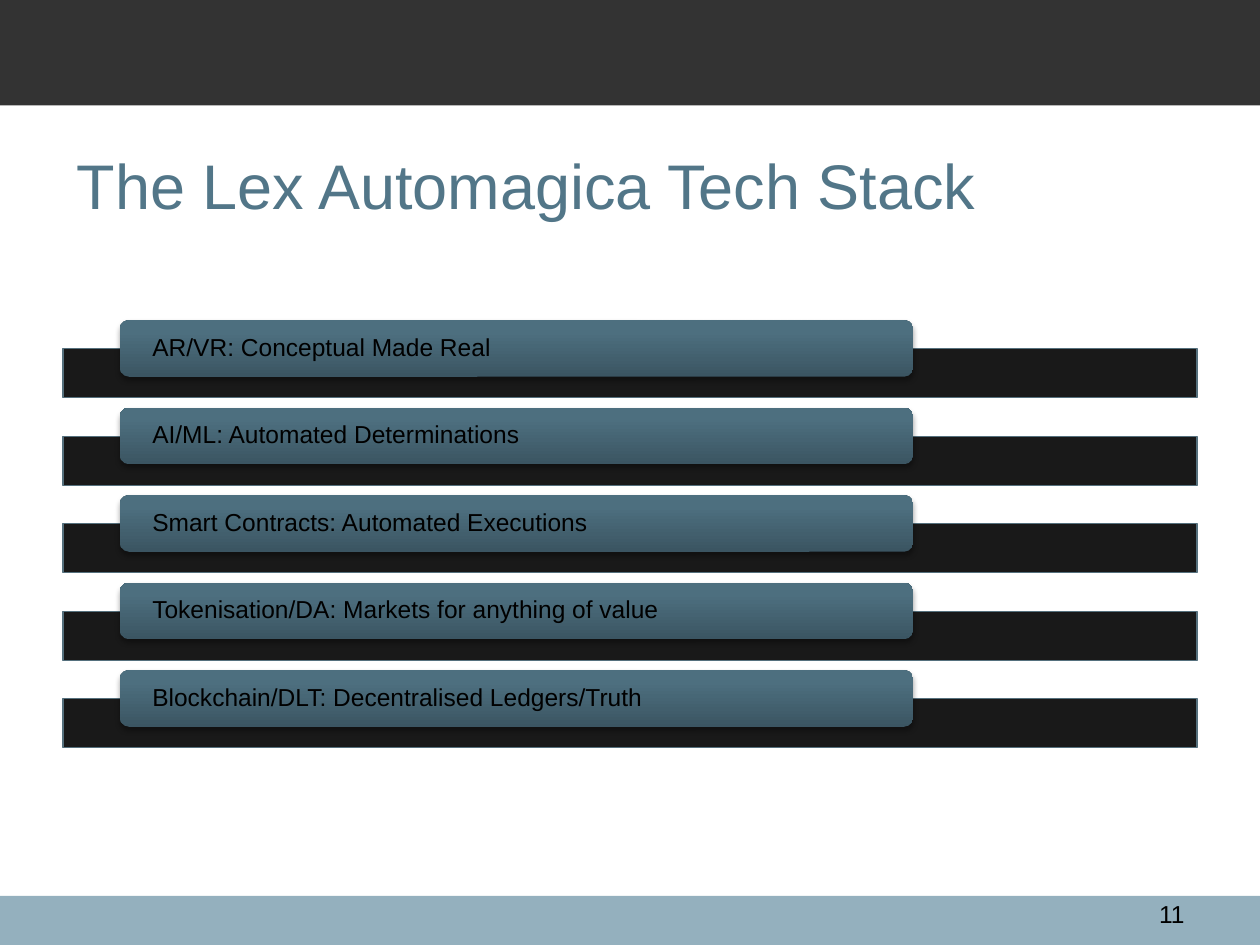
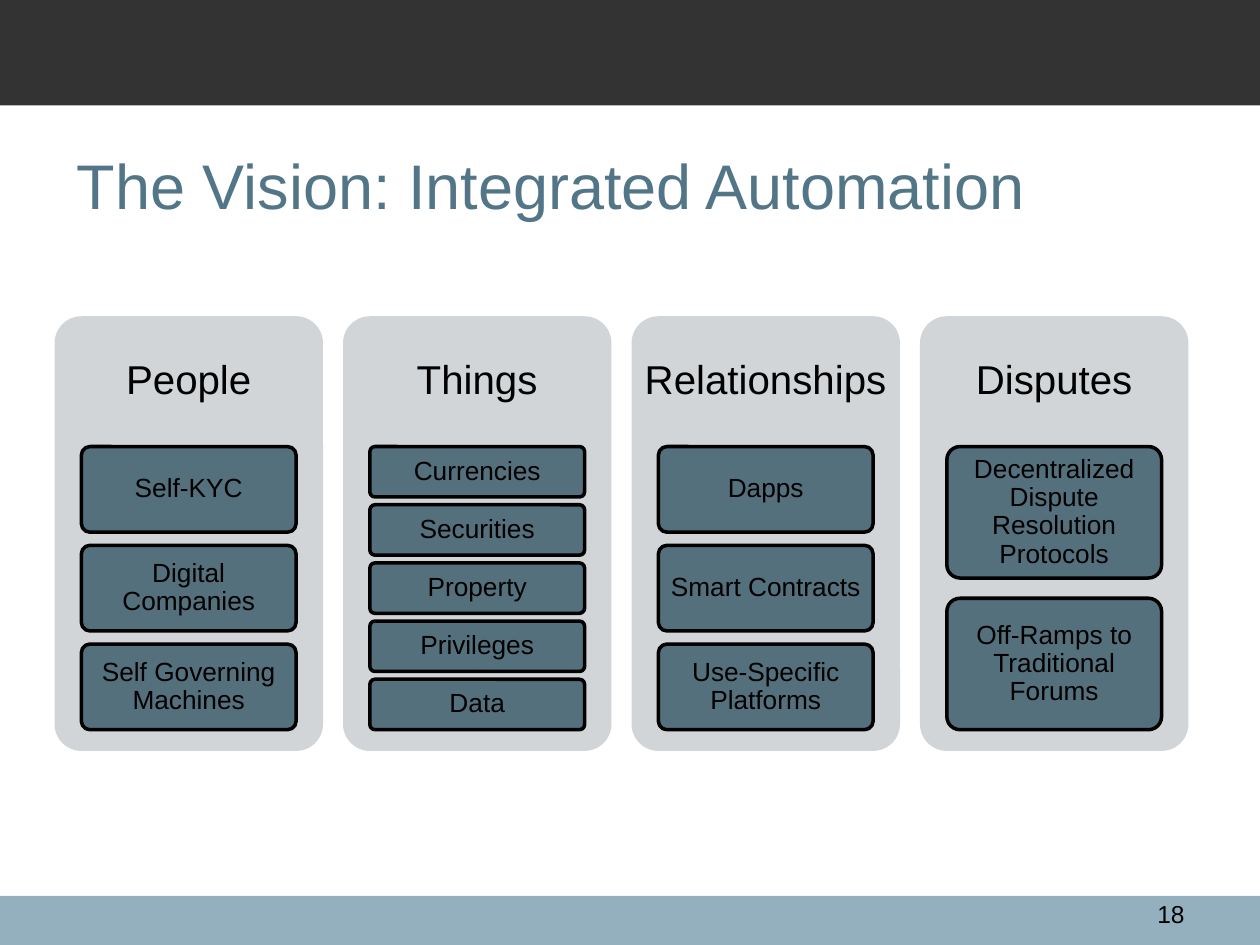
import lxml.etree
import pptx
import pptx.dml.color
import pptx.enum.shapes
import pptx.enum.text
import pptx.oxml.ns
import pptx.util

Pt = pptx.util.Pt
SHAPES = pptx.enum.shapes.MSO_SHAPE
ALIGN = pptx.enum.text.PP_ALIGN
ANCHOR = pptx.enum.text.MSO_ANCHOR
qn = pptx.oxml.ns.qn

FONT = "Arial"
WIDTH, HEIGHT = 720, 540
COLOURS = {
    "header": "333333",
    "footer": "94B0BE",
    "title": "527688",
    "text": "000000",
    "slate": "55707D",
    "panel": "D1D5D7",
    "layer_dark": "3B5562",
    "layer_light": "4D6F7F",
}

TECH_LAYERS = [
    "AR/VR: Conceptual Made Real",
    "AI/ML: Automated Determinations",
    "Smart Contracts: Automated Executions",
    "Tokenisation/DA: Markets for anything of value",
    "Blockchain/DLT: Decentralised Ledgers/Truth",
]
VISION = {
    "People": ["Self-KYC", "Digital Companies", "Self Governing Machines"],
    "Things": ["Currencies", "Securities", "Property", "Privileges", "Data"],
    "Relationships": ["Dapps", "Smart Contracts", "Use-Specific Platforms"],
    "Disputes": [
        "Decentralized Dispute Resolution Protocols",
        "Off-Ramps to Traditional Forums",
    ],
}


def rgb(name):
    return pptx.dml.color.RGBColor.from_string(COLOURS[name])


def write(shape, text, size=14, colour="text", align=ALIGN.LEFT,
          anchor=ANCHOR.MIDDLE, inset=(7.2, 3.6), spacing=1.0):
    frame = shape.text_frame
    frame.word_wrap = True
    frame.vertical_anchor = anchor
    frame.margin_left = frame.margin_right = Pt(inset[0])
    frame.margin_top = frame.margin_bottom = Pt(inset[1])
    para = frame.paragraphs[0]
    para.alignment = align
    para.line_spacing = spacing
    span = para.add_run()
    span.text = text
    span.font.name = FONT
    span.font.size = Pt(size)
    span.font.color.rgb = rgb(colour)


def add_text(page, text, left, top, width, height, **style):
    box = page.shapes.add_textbox(Pt(left), Pt(top), Pt(width), Pt(height))
    write(box, text, **style)


def add_block(page, left, top, width, height, fill, kind=SHAPES.RECTANGLE,
              corner=None, line=None, line_width=0.75):
    block = page.shapes.add_shape(kind, Pt(left), Pt(top), Pt(width), Pt(height))
    block.shadow.inherit = False
    block.fill.solid()
    block.fill.fore_color.rgb = rgb(fill)
    if corner is not None:
        block.adjustments[0] = corner
    if line:
        block.line.color.rgb = rgb(line)
        block.line.width = Pt(line_width)
    else:
        block.line.fill.background()
    return block


def set_opacity(parent, percent):
    colour = parent.find(".//" + qn("a:srgbClr"))
    lxml.etree.SubElement(colour, qn("a:alpha"), val=str(percent * 1000))


def add_drop_shadow(shape, blur, distance, percent):
    effects = shape.element.spPr.find(qn("a:effectLst"))
    shadow = lxml.etree.SubElement(
        effects, qn("a:outerShdw"), blurRad=str(Pt(blur)),
        dist=str(Pt(distance)), dir="5400000", rotWithShape="0")
    lxml.etree.SubElement(shadow, qn("a:srgbClr"), val=COLOURS["text"])
    set_opacity(shadow, percent)


def add_layer_gradient(shape):
    shape.fill.gradient()
    shape.fill.gradient_angle = 90
    stops = shape.fill.gradient_stops
    for stop, colour, position in zip(stops, ("layer_dark", "layer_light"), (0, 0.8)):
        stop.color.rgb = rgb(colour)
        stop.position = position


def add_page(deck, title, number):
    page = deck.slides.add_slide(deck.slide_layouts[5])
    add_block(page, 0, 512, WIDTH, HEIGHT - 512, "footer")
    add_block(page, 0, 0, WIDTH, 60.3, "header")
    heading = page.shapes.title
    heading.left, heading.top = Pt(36.7), Pt(60.5)
    heading.width, heading.height = Pt(648), Pt(90)
    write(heading, title, size=36, colour="title")
    add_text(page, str(number), 638, 510, 46, 17.3,
             align=ALIGN.RIGHT, anchor=ANCHOR.TOP)
    return page


def add_layer(page, text, top):
    bar = add_block(page, 36, top + 16.4, 648, 28, "text", line="slate")
    set_opacity(bar.element.spPr, 90)
    label = add_block(page, 68.4, top, 453.6, 32.4, "layer_light",
                      kind=SHAPES.ROUNDED_RECTANGLE)
    add_layer_gradient(label)
    add_drop_shadow(label, 3.1, 1.8, 35)
    write(label, text, inset=(17.1, 0), spacing=0.9)


def add_panel(page, heading, cards, left):
    top, width = 180.7, 153.4
    add_block(page, left, top, width, 248.4, "panel",
              kind=SHAPES.ROUNDED_RECTANGLE, corner=0.1)
    add_text(page, heading, left, top, width, 74.5, size=23,
             align=ALIGN.CENTER, inset=(3, 7.2), spacing=0.9)
    gap_share = 2 / 13
    height = 161.8 / (len(cards) + gap_share * (len(cards) - 1))
    for index, text in enumerate(cards):
        card_top = 255.2 + index * height * (1 + gap_share)
        card = add_block(page, left + 15.3, card_top, width * 0.8, height, "slate",
                         kind=SHAPES.ROUNDED_RECTANGLE, corner=0.1,
                         line="text", line_width=2)
        write(card, text, size=15, align=ALIGN.CENTER, inset=(3, 2.2), spacing=0.9)


def main():
    deck = pptx.Presentation()
    deck.slide_width, deck.slide_height = Pt(WIDTH), Pt(HEIGHT)

    stack_page = add_page(deck, "The Lex Automagica Tech Stack", 11)
    for index, text in enumerate(TECH_LAYERS):
        add_layer(stack_page, text, 182.9 + index * 50)

    vision_page = add_page(deck, "The Vision: Integrated Automation", 18)
    for index, (heading, cards) in enumerate(VISION.items()):
        add_panel(vision_page, heading, cards, 31.2 + index * 164.85)

    deck.save("out.pptx")


if __name__ == "__main__":
    main()
